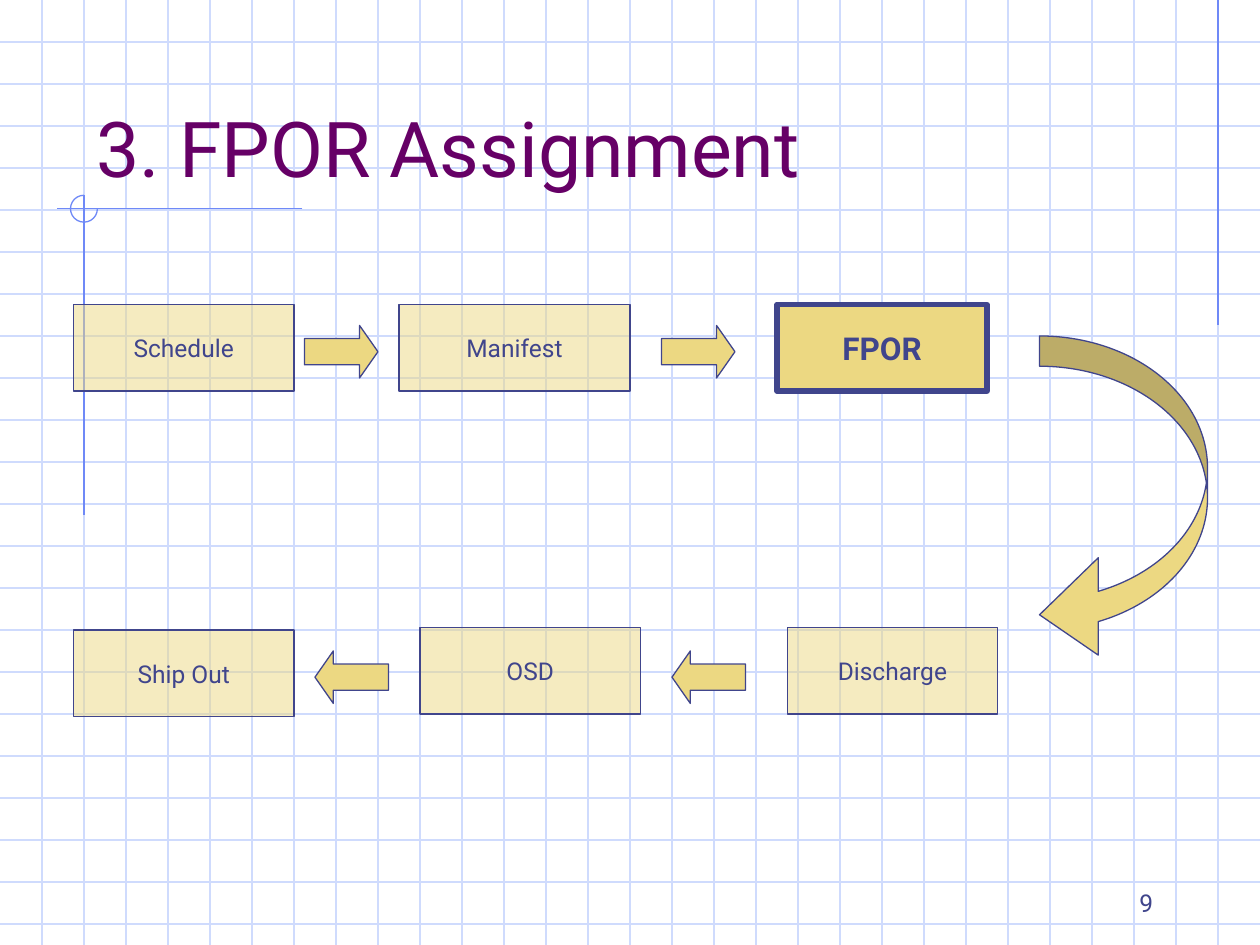
"""Build the FPOR assignment process slide."""
from lxml import etree
from pptx import Presentation
from pptx.dml.color import RGBColor
from pptx.enum.shapes import MSO_CONNECTOR, MSO_SHAPE
from pptx.enum.text import MSO_ANCHOR, PP_ALIGN
from pptx.oxml.ns import qn
from pptx.util import Inches, Pt

STRAIGHT = MSO_CONNECTOR.STRAIGHT
PROCESS, ARC = MSO_SHAPE.FLOWCHART_PROCESS, MSO_SHAPE.ARC
RIGHT, LEFT = MSO_SHAPE.RIGHT_ARROW, MSO_SHAPE.LEFT_ARROW
CURVED_LEFT = MSO_SHAPE.CURVED_LEFT_ARROW
ALIGN_LEFT, ALIGN_CENTER, ALIGN_RIGHT = PP_ALIGN.LEFT, PP_ALIGN.CENTER, PP_ALIGN.RIGHT
MIDDLE, BOTTOM = MSO_ANCHOR.MIDDLE, MSO_ANCHOR.BOTTOM

COLS, ROWS = 30, 22.5
CELL = Inches(10) / COLS
FONT = "Roboto"
GRID, ACCENT = "CFDBFD", "6F89F7"
INK, GOLD, PURPLE = "40458C", "ECD882", "660066"


def rgb(value):
    """Turn a hex string into a colour."""
    return RGBColor.from_string(value)


def cells(*values):
    """Turn grid units into whole EMU lengths."""
    return [round(v * CELL) for v in values]


def write(tf, text, size=14, color=INK, bold=False, align=ALIGN_CENTER,
          anchor=MIDDLE, wrap=True):
    """Put one formatted paragraph into a text frame."""
    tf.word_wrap = wrap
    tf.vertical_anchor = anchor
    p = tf.paragraphs[0]
    p.alignment = align
    r = p.add_run()
    r.text = text
    r.font.name, r.font.size, r.font.bold = FONT, Pt(size), bold
    r.font.color.rgb = rgb(color)


class Diagram:
    """Hold the slide and draw its elements in grid units."""

    def __init__(self, prs):
        """Add a title-only slide."""
        self.s = prs.slides.add_slide(prs.slide_layouts[5])

    def line(self, x1, y1, x2, y2, color=ACCENT):
        """Draw a thin straight line."""
        c = self.s.shapes.add_connector(STRAIGHT, *cells(x1, y1, x2, y2))
        c.line.color.rgb = rgb(color)
        c.line.width = Pt(0.75)
        etree.SubElement(c.element.spPr, qn("a:effectLst"))

    def shape(self, kind, box, fill=GOLD, line=INK, width=0.75, adjust=(), alpha=None):
        """Draw a preset shape."""
        sp = self.s.shapes.add_shape(kind, *cells(*box))
        sp.shadow.inherit = False
        sp.line.color.rgb = rgb(line)
        sp.line.width = Pt(width)
        for i, value in enumerate(adjust):
            sp.adjustments[i] = value
        if fill is None:
            sp.fill.background()
            return sp
        sp.fill.solid()
        sp.fill.fore_color.rgb = rgb(fill)
        if alpha is not None:
            clr = sp.element.spPr.find(qn("a:solidFill"))[0]
            etree.SubElement(clr, qn("a:alpha"), val=str(alpha * 1000))
        return sp

    def step(self, text, x, y, w, active=False):
        """Draw a process box, stronger when active."""
        look = {"width": 3} if active else {"alpha": 50}
        sp = self.shape(PROCESS, (x, y, w, 2.06), **look)
        write(sp.text_frame, text, size=18 if active else 14, bold=active, wrap=False)

    def arrow(self, kind, x, y):
        """Draw a block arrow between two steps."""
        self.shape(kind, (x, y, 1.75, 1.25), adjust=(0.5, 0.35))

    def title(self, text, box):
        """Place the title above the background and fill it."""
        sp = self.s.shapes.title
        sp.left, sp.top, sp.width, sp.height = cells(*box)
        self.s.shapes.element.append(sp.element)
        write(sp.text_frame, text, size=44, color=PURPLE, align=ALIGN_LEFT, anchor=BOTTOM)

    def number(self, text, box):
        """Write the slide number."""
        sp = self.s.shapes.add_textbox(*cells(*box))
        write(sp.text_frame, text, align=ALIGN_RIGHT, anchor=BOTTOM)

    def background(self):
        """Draw the squared paper and its accent marks."""
        for row in range(1, int(ROWS) + 1):
            self.line(0, row, COLS, row, GRID)
        for col in range(1, COLS):
            self.line(col, 0, col, ROWS, GRID)
        self.line(29, 0, 29, 7.75)
        self.line(7.2, 4.97, 1.35, 4.97)
        self.line(2, 4.65, 2, 12.27)
        self.shape(ARC, (1.68, 4.65, 0.64, 0.64), fill=None, line=ACCENT, adjust=(0, 162))


def main():
    """Build and save the slide."""
    prs = Presentation()
    prs.slide_width, prs.slide_height = cells(COLS, ROWS)
    d = Diagram(prs)
    d.background()
    d.title("3. FPOR Assignment", (2, 1, 25.5, 3.75))
    for text, x, y, w in (
        ("Schedule", 1.75, 7.25, 5.25),
        ("Manifest", 9.5, 7.25, 5.5),
        ("FPOR", 18.5, 7.25, 5),
        ("Discharge", 18.75, 14.94, 5),
        ("OSD", 10, 14.94, 5.25),
        ("Ship Out", 1.75, 15, 5.25),
    ):
        d.step(text, x, y, w, active=text == "FPOR")
    for kind, x, y in ((RIGHT, 7.25, 7.75), (RIGHT, 15.75, 7.75),
                       (LEFT, 16, 15.5), (LEFT, 7.5, 15.5)):
        d.arrow(kind, x, y)
    d.shape(CURVED_LEFT, (24.75, 8, 4, 7.8), adjust=(0.18, 0.58, 0.35))
    d.number("9", (21.5, 20.5, 6.25, 1.5))
    prs.save("out.pptx")


if __name__ == "__main__":
    main()
